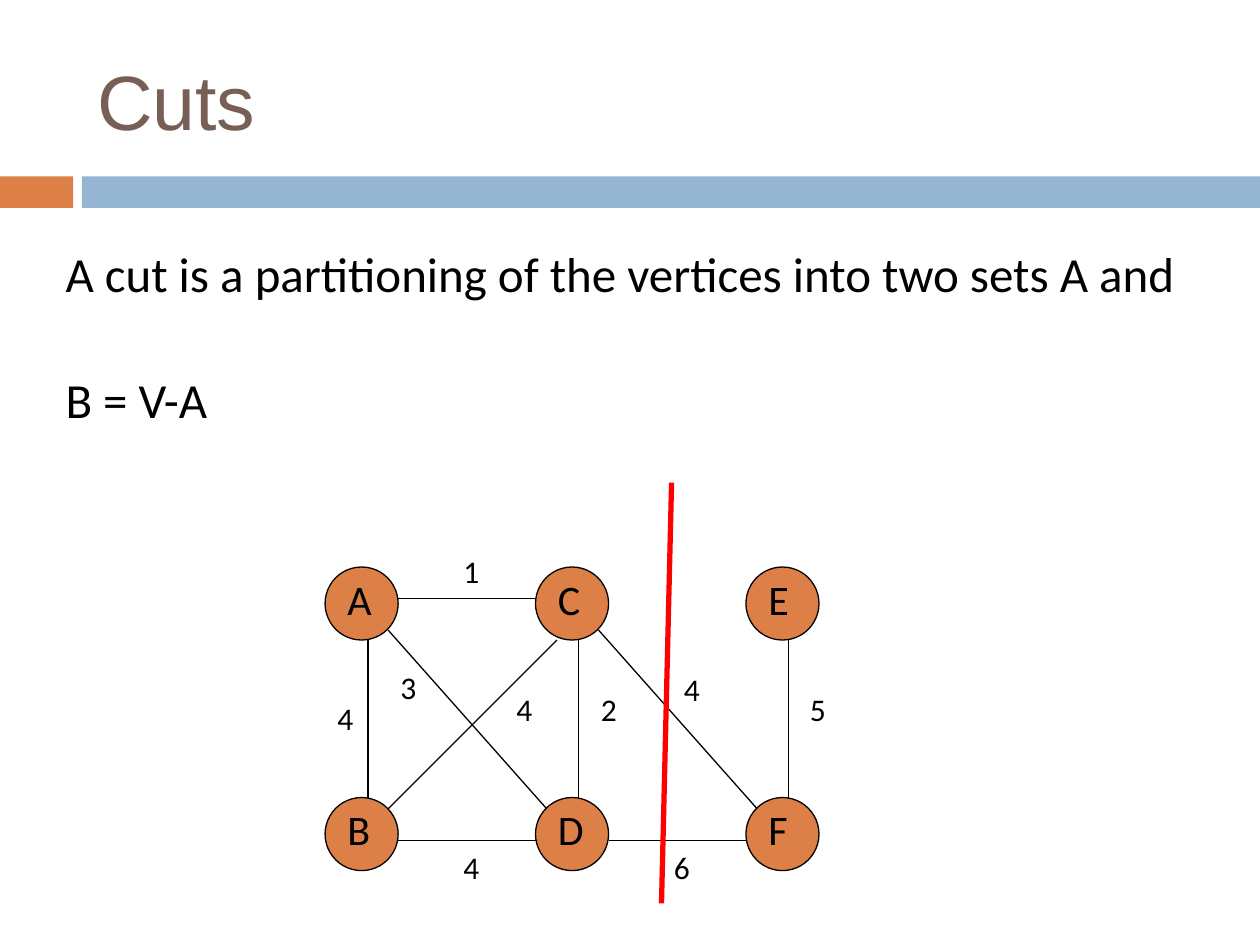
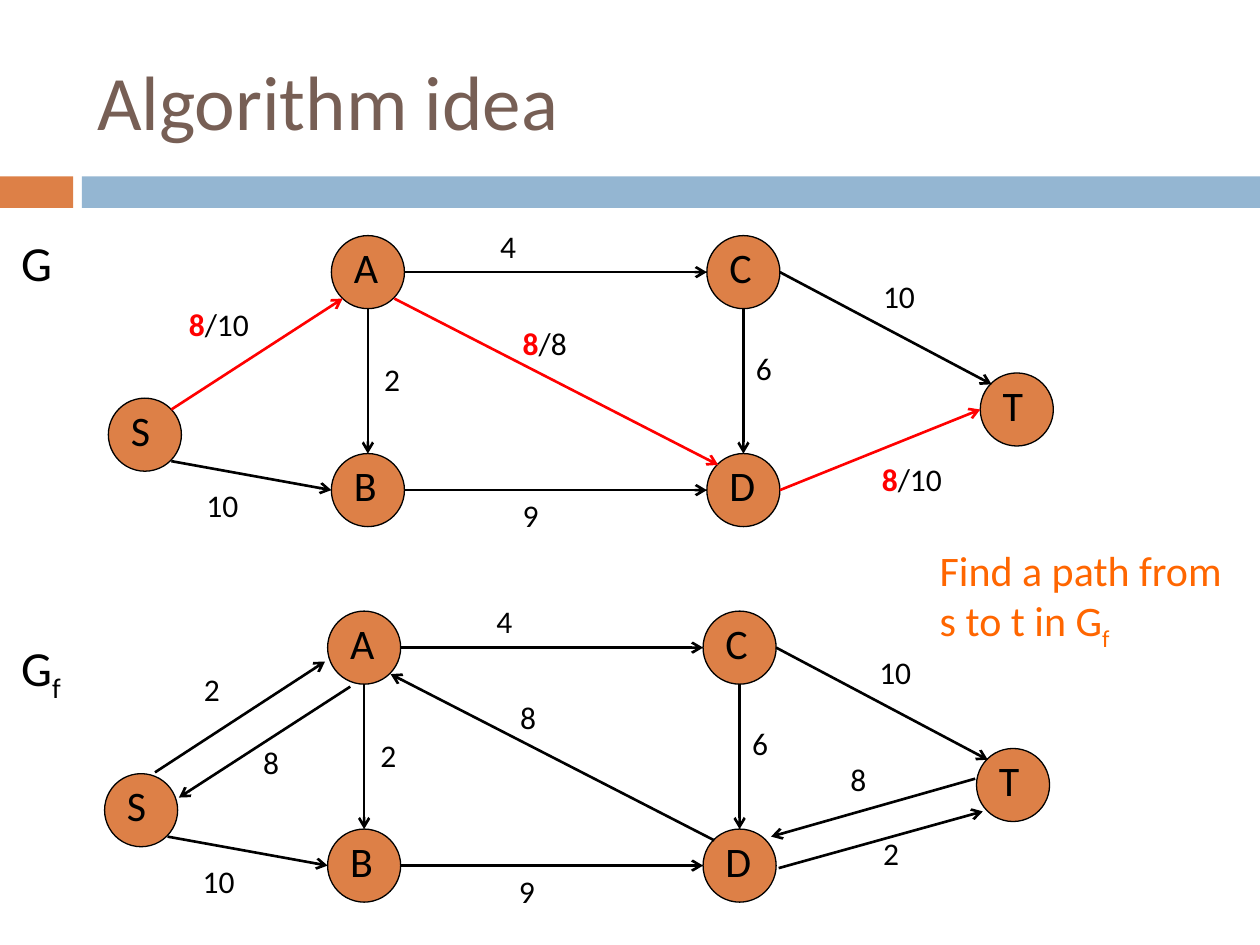
from dataclasses import dataclass

from lxml import etree
from pptx import Presentation
from pptx.dml.color import RGBColor
from pptx.enum.shapes import MSO_CONNECTOR as Link, MSO_SHAPE as Preset
from pptx.enum.text import MSO_ANCHOR as Anchor, MSO_AUTO_SIZE as Fit, PP_ALIGN as Align
from pptx.oxml.ns import qn
from pptx.util import Inches, Pt


@dataclass(frozen=True)
class Theme:
    orange: str = "DD8047"
    blue: str = "94B6D2"
    brown: str = "775F55"
    black: str = "000000"
    red: str = "FF0000"
    hint: str = "FF6600"
    font: str = "Calibri"
    title: int = 44
    body: int = 28
    vertex: int = 24
    weight: int = 18


THEME = Theme()
LAYOUT_CONTENT, LAYOUT_TITLE_ONLY = 1, 5

# Where an edge meets a vertex, measured from the vertex's top left corner
DIAMETER = 0.58
MID, NEAR, FAR = DIAMETER / 2, 0.09, 0.5
SIDES = {
    "n": (MID, 0), "s": (MID, DIAMETER), "w": (0, MID), "e": (DIAMETER, MID),
    "nw": (NEAR, NEAR), "ne": (FAR, NEAR), "sw": (NEAR, FAR), "se": (FAR, FAR),
}


@dataclass(frozen=True)
class Run:
    text: str
    color: str = THEME.black
    bold: bool = False
    subscript: bool = False


@dataclass(frozen=True)
class Edge:
    start: str
    leave: str | tuple  # side name, or offset inside the vertex
    end: str
    arrive: str | tuple
    weight: str
    weight_at: tuple
    flow: bool = False


@dataclass(frozen=True)
class GraphStyle:
    line_width: float
    directed: bool
    weight_width: float


# Text

def write(paragraph, runs, size, font=THEME.font):
    paragraph.alignment = Align.LEFT
    paragraph.space_before = Pt(0)
    for part in runs:
        for number, line in enumerate(part.text.split("\n")):
            if number:
                paragraph.add_line_break()
            run = paragraph.add_run()
            run.text = line
            run.font.name = font
            run.font.size = Pt(size)
            run.font.bold = part.bold
            run.font.color.rgb = RGBColor.from_string(part.color)
            if part.subscript:
                run._r.get_or_add_rPr().set("baseline", "-25000")


def add_text(slide, box, runs, size):
    frame = slide.shapes.add_textbox(*map(Inches, box)).text_frame
    frame.word_wrap = True
    write(frame.paragraphs[0], runs, size)


def place(placeholder, box):
    placeholder.left, placeholder.top, placeholder.width, placeholder.height = map(Inches, box)
    placeholder.text_frame.auto_size = Fit.NONE
    return placeholder.text_frame


# Shapes and lines

def add_filled(slide, preset, box, fill, outline=None):
    shape = slide.shapes.add_shape(preset, *map(Inches, box))
    shape.shadow.inherit = False
    shape.fill.solid()
    shape.fill.fore_color.rgb = RGBColor.from_string(fill)
    if outline:
        shape.line.color.rgb = RGBColor.from_string(outline)
        shape.line.width = Pt(0.75)
    else:
        shape.line.fill.background()


def add_line(slide, start, end, color, width, arrow=False):
    line = slide.shapes.add_connector(Link.STRAIGHT, *map(Inches, (*start, *end)))
    line.line.color.rgb = RGBColor.from_string(color)
    line.line.width = Pt(width)
    if arrow:
        etree.SubElement(line.line._get_or_add_ln(), qn("a:tailEnd"), type="arrow")
    etree.SubElement(line._element.spPr, qn("a:effectLst"))


# Shared slide frame: title and band

def add_framed_slide(deck, layout, title, title_font=THEME.font):
    slide = deck.slides.add_slide(deck.slide_layouts[layout])
    add_filled(slide, Preset.RECTANGLE, (0, 1.4, 0.58, 0.25), THEME.orange)
    add_filled(slide, Preset.RECTANGLE, (0.65, 1.4, 9.35, 0.25), THEME.blue)
    frame = place(slide.shapes.title, (0.67, 0.25, 8.92, 1.08))
    frame.vertical_anchor = Anchor.MIDDLE
    write(frame.paragraphs[0], [Run(title, THEME.brown)], THEME.title, title_font)
    return slide


# Graphs

def shift(origin, offset):
    return origin[0] + offset[0], origin[1] + offset[1]


def draw_graph(slide, origin, vertices, edges, style):
    for name, offset in vertices.items():
        corner = shift(origin, offset)
        add_filled(slide, Preset.OVAL, (*corner, DIAMETER, DIAMETER), THEME.orange, THEME.black)
        add_text(slide, (*shift(corner, (0.08, 0)), 0.5, 0.5), [Run(name)], THEME.vertex)

    def meet(name, side):
        return shift(shift(origin, vertices[name]), SIDES.get(side, side))

    for edge in edges:
        add_line(slide, meet(edge.start, edge.leave), meet(edge.end, edge.arrive),
                 THEME.red if edge.flow else THEME.black, style.line_width, style.directed)
        runs = [Run(edge.weight)]
        if edge.flow:
            used, slash, capacity = edge.weight.partition("/")
            runs = [Run(used, THEME.red, bold=True), Run(slash + capacity)]
        box = (*shift(origin, edge.weight_at), style.weight_width, 0.4)
        add_text(slide, box, runs, THEME.weight)


# Slide 1: a cut through an undirected graph

COLUMN_STEP, ROW_STEP = 1.67, 1.83
CUT_VERTICES = {
    name: (column * COLUMN_STEP, row * ROW_STEP)
    for column, pair in enumerate(("AB", "CD", "EF"))
    for row, name in enumerate(pair)
}
# Straight edges run slightly off the vertex centres
LOW, HIGH = 0.25, 0.34
CUT_EDGES = [
    Edge("A", (DIAMETER, LOW), "C", (0, LOW), "1", (1, -0.17)),
    Edge("B", (DIAMETER, HIGH), "D", (0, HIGH), "4", (1, 2.18)),
    Edge("D", (DIAMETER, HIGH), "F", (0, HIGH), "6", (2.67, 2.18)),
    Edge("B", (HIGH, 0), "A", (HIGH, DIAMETER), "4", (0, 1)),
    Edge("D", (HIGH, 0), "C", (HIGH, DIAMETER), "2", (2.09, 0.93)),
    Edge("F", (HIGH, 0), "E", (HIGH, DIAMETER), "5", (3.75, 0.93)),
    Edge("A", "se", "D", "nw", "3", (0.5, 0.75)),
    Edge("C", "se", "F", "nw", "4", (2.75, 0.77)),
    Edge("B", "ne", "C", (0.17, DIAMETER), "4", (1.42, 0.93)),
]


def build_cuts(deck):
    slide = add_framed_slide(deck, LAYOUT_CONTENT, "Cuts", "Arial")
    definition = place(slide.placeholders[1], (0.42, 1.88, 9.08, 1.95)).paragraphs[0]
    properties = definition._p.get_or_add_pPr()
    properties.set("marL", "0")
    properties.set("indent", "0")
    etree.SubElement(properties, qn("a:buNone"))
    write(definition,
          [Run("A cut is a partitioning of the vertices into two sets A and \nB = V-A")],
          THEME.body)
    draw_graph(slide, (2.58, 4.5), CUT_VERTICES, CUT_EDGES, GraphStyle(0.75, False, 0.58))
    add_line(slide, (5.25, 7.17), (5.33, 3.83), THEME.red, 3)


# Slide 2: a flow network above its residual graph

FLOW_VERTICES = {
    "S": (0, 1.29), "A": (1.77, 0), "B": (1.77, 1.73),
    "C": (4.75, 0), "D": (4.75, 1.73), "T": (6.92, 1.09),
}
UNUSED_EDGES = [
    Edge("S", "se", "B", "w", "10", (0.68, 1.94)),
    Edge("B", "e", "D", "w", "9", (3.19, 2.02)),
    Edge("A", "s", "B", "n", "2", (2.09, 0.94)),
    Edge("A", "e", "C", "w", "4", (3.01, -0.12)),
    Edge("C", "s", "D", "n", "6", (5.04, 0.85)),
    Edge("C", "e", "T", "nw", "10", (6.05, 0.28)),
]
FLOW_EDGES = [
    Edge("S", "ne", "A", "sw", "8/10", (0.54, 0.5), flow=True),
    Edge("A", "se", "D", "nw", "8/8", (3.19, 0.65), flow=True),
    Edge("D", "e", "T", "w", "8/10", (6.04, 1.73), flow=True),
]
RESIDUAL_EDGES = [
    Edge("S", (0.4, -0.01), "A", (-0.02, 0.4), "2", (0.69, 0.42)),
    Edge("A", (0.18, 0.6), "S", (0.59, 0.19), "8", (1.16, 1)),
    Edge("D", "nw", "A", "se", "8", (3.2, 0.64)),
    Edge("D", (0.6, 0.31), "T", (0.05, 0.5), "2", (6.08, 1.72)),
    Edge("T", (-0.01, 0.24), "D", (0.54, 0.06), "8", (5.82, 1.13)),
]


def build_algorithm_idea(deck):
    slide = add_framed_slide(deck, LAYOUT_TITLE_ONLY, "Algorithm idea")
    residual_mark = Run("f", subscript=True)
    networks = [
        ((0.86, 1.87), 1.8, [Run("G")], FLOW_EDGES),
        ((0.83, 4.85), 5.01, [Run("G"), residual_mark], RESIDUAL_EDGES),
    ]
    for origin, name_top, name, own_edges in networks:
        add_text(slide, (0.07, name_top, 0.88, 0.57), name, THEME.body)
        draw_graph(slide, origin, FLOW_VERTICES, UNUSED_EDGES + own_edges,
                   GraphStyle(1.5, True, 0.85))
    add_text(slide, (7.36, 4.27, 2.64, 0.91),
             [Run("Find a path from\ns to t in G", THEME.hint),
              Run("f", THEME.hint, subscript=True)], THEME.vertex)


def main():
    deck = Presentation()
    deck.slide_width, deck.slide_height = Inches(10), Inches(7.5)
    build_cuts(deck)
    build_algorithm_idea(deck)
    deck.save("out.pptx")


if __name__ == "__main__":
    main()
